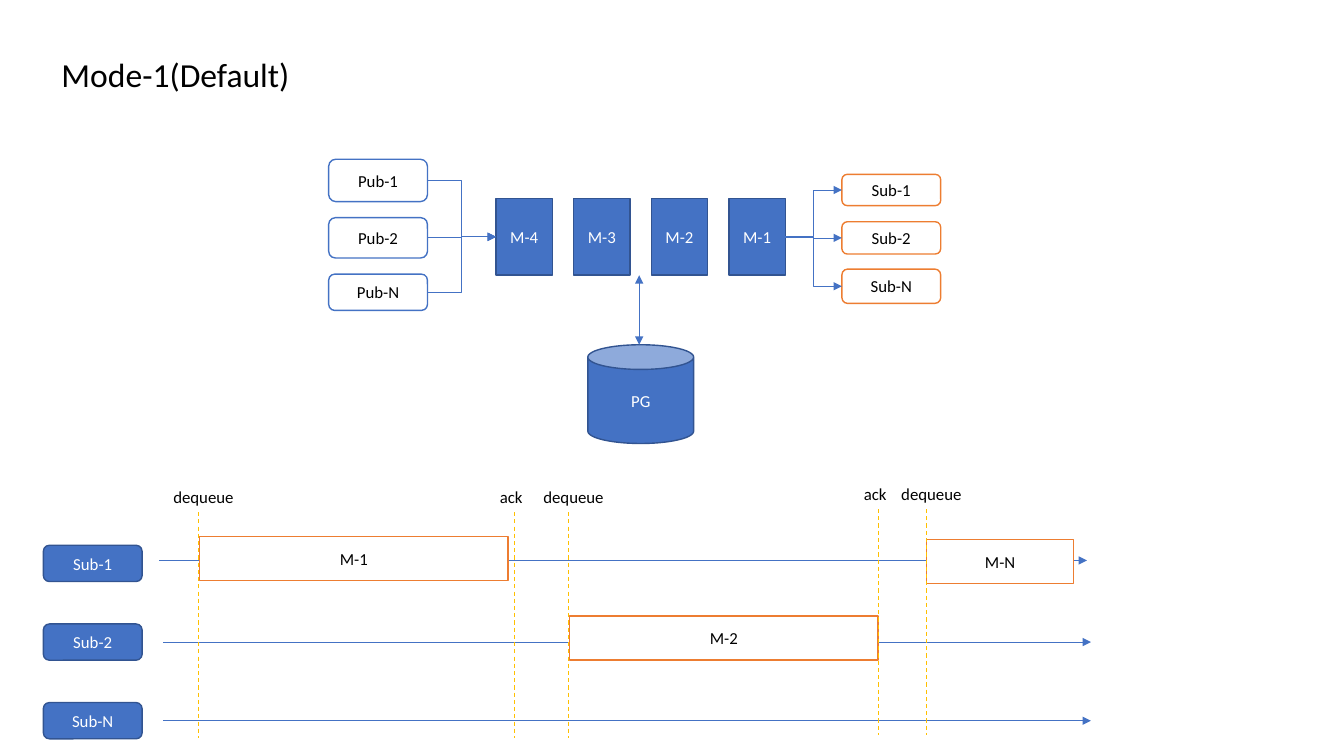
import pptx
import pptx.util
import pptx.dml.color
import pptx.enum.dml
import pptx.enum.shapes
import pptx.enum.text
import pptx.oxml.ns
import lxml.etree

Inches = pptx.util.Inches
Pt = pptx.util.Pt
Shape = pptx.enum.shapes.MSO_SHAPE
Connector = pptx.enum.shapes.MSO_CONNECTOR
Align = pptx.enum.text.PP_ALIGN
Anchor = pptx.enum.text.MSO_ANCHOR
qn = pptx.oxml.ns.qn

COLORS = {
    "blue": "4472C4",
    "navy": "325491",
    "orange": "ED7D31",
    "gold": "FFC000",
    "white": "FFFFFF",
    "black": "000000",
}
FONT = "Calibri"
LEFT_SITE, RIGHT_SITE = 1, 3
NODE_WIDTH = 0.98


def rgb(name):
    return pptx.dml.color.RGBColor.from_string(COLORS[name])


def write(frame, text, color="black", size=12, align=Align.LEFT):
    frame.text = text
    paragraph = frame.paragraphs[0]
    paragraph.alignment = align
    paragraph.font.name = FONT
    paragraph.font.size = Pt(size)
    paragraph.font.color.rgb = rgb(color)


def add_node(slide, kind, text, box, fill="white", line="orange", color="black"):
    node = slide.shapes.add_shape(kind, *map(Inches, box))
    node.shadow.inherit = False
    node.fill.solid()
    node.fill.fore_color.rgb = rgb(fill)
    node.line.color.rgb = rgb(line)
    node.line.width = Pt(1)
    node.text_frame.vertical_anchor = Anchor.MIDDLE
    write(node.text_frame, text, color, align=Align.CENTER)
    return node


def add_solid_node(slide, kind, text, box):
    return add_node(slide, kind, text, box, "blue", "navy", "white")


def style_line(connector, color="blue", width=0.5, dashed=False, ends=("tailEnd",)):
    """Set stroke and arrowheads, and switch the theme shadow off."""
    connector.line.color.rgb = rgb(color)
    connector.line.width = Pt(width)
    if dashed:
        connector.line.dash_style = pptx.enum.dml.MSO_LINE.DASH
    properties = connector.element.spPr
    stroke = properties.find(qn("a:ln"))
    for end in ends:
        lxml.etree.SubElement(stroke, qn(f"a:{end}"), type="triangle")
    lxml.etree.SubElement(properties, qn("a:effectLst"))


def add_line(slide, x1, y1, x2, y2, **style):
    points = map(Inches, (x1, y1, x2, y2))
    style_line(slide.shapes.add_connector(Connector.STRAIGHT, *points), **style)


def link(slide, source, target):
    """Join the right side of source to the left side of target."""
    elbow = slide.shapes.add_connector(Connector.ELBOW, 0, 0, 0, 0)
    elbow.begin_connect(source, RIGHT_SITE)
    elbow.end_connect(target, LEFT_SITE)
    style_line(elbow)


def add_label(slide, text, left, top, width):
    label = slide.shapes.add_textbox(*map(Inches, (left, top, width, 0.3)))
    label.text_frame.word_wrap = False
    label.text_frame.auto_size = pptx.enum.text.MSO_AUTO_SIZE.SHAPE_TO_FIT_TEXT
    write(label.text_frame, text)


def add_title(slide, text, left, top, width, height):
    title = slide.shapes.title
    title.left, title.top, title.width, title.height = map(
        Inches, (left, top, width, height))
    title.text_frame.word_wrap = False
    title.text_frame.vertical_anchor = Anchor.MIDDLE
    write(title.text_frame, text, size=24)


def add_peers(slide, left, top, line, peers):
    """Stack rounded nodes given as (text, offset from top, height)."""
    return [add_node(slide, Shape.ROUNDED_RECTANGLE, text,
                     (left, top + offset, NODE_WIDTH, height), line=line)
            for text, offset, height in peers]


def add_queue_flow(slide, left, top):
    """Publishers feed the message queue, which feeds the subscribers."""
    queue_left, queue_top = left + 1.66, top + 0.39
    message_width, message_height, gap = 0.56, 0.76, 0.21
    pitch = message_width + gap
    messages = [
        add_solid_node(slide, Shape.RECTANGLE, text,
                       (queue_left + i * pitch, queue_top, message_width, message_height))
        for i, text in enumerate(("M-4", "M-3", "M-2", "M-1"))]
    publishers = add_peers(slide, left, top, "blue", (
        ("Pub-1", 0, 0.42), ("Pub-2", 0.58, 0.4), ("Pub-N", 1.14, 0.36)))
    subscribers = add_peers(slide, left + 5.09, top + 0.15, "orange", (
        ("Sub-1", 0, 0.31), ("Sub-2", 0.47, 0.32), ("Sub-N", 0.94, 0.34)))
    for publisher in publishers:
        link(slide, publisher, messages[0])
    for subscriber in subscribers:
        link(slide, messages[-1], subscriber)

    store_top = top + 1.84
    add_solid_node(slide, Shape.CAN, "PG", (left + 2.57, store_top, 1.05, 0.98))
    store_x = left + 3.08
    add_line(slide, store_x, store_top, store_x, queue_top + message_height,
             ends=("headEnd", "tailEnd"))


def add_timeline(slide, left, top):
    """One lane per subscriber, with its tasks and the queue events."""
    lane_pitch, lane_height, arrow_length = 0.78, 0.36, 9.2
    lanes = (("Sub-1", 1.15, 0.81), ("Sub-2", 1.19, 1.62), ("Sub-N", 1.19, 2.4))
    for i, (text, arrow_left, arrow_top) in enumerate(lanes):
        add_solid_node(slide, Shape.ROUNDED_RECTANGLE, text,
                       (left, top + 0.66 + i * lane_pitch, NODE_WIDTH, lane_height))
        x, y = left + arrow_left, top + arrow_top
        add_line(slide, x, y, x + arrow_length, y)

    tasks = (("M-1", 1.55, 0.57, 3.06), ("M-2", 5.22, 1.36, 3.06),
             ("M-N", 8.76, 0.6, 1.46))
    for text, x, y, width in tasks:
        add_node(slide, Shape.RECTANGLE, text, (left + x, top + y, width, 0.44))

    label_widths = {"dequeue": 0.81, "ack": 0.43}
    events = (("dequeue", 1.54, 0.35, 0.03), ("ack", 4.67, 0.24, 0.03),
              ("dequeue", 5.21, 0.35, 0.03), ("ack", 8.28, 0.24, 0),
              ("dequeue", 8.76, 0.35, 0))
    for text, x, label_shift, y in events:
        event_x, event_top = left + x, top + y
        add_label(slide, text, event_x - label_shift, event_top, label_widths[text])
        add_line(slide, event_x, event_top + 0.3, event_x, event_top + 2.54,
                 color="gold", width=0.75, dashed=True, ends=())


def main():
    deck = pptx.Presentation()
    deck.slide_width, deck.slide_height = Inches(13.33), Inches(7.5)
    title_only = deck.slide_layouts[5]
    slide = deck.slides.add_slide(title_only)
    add_title(slide, "Mode-1(Default)", 0.51, 0.48, 2.49, 0.5)
    add_queue_flow(slide, 3.26, 1.58)
    add_timeline(slide, 0.43, 4.75)
    deck.save("out.pptx")


if __name__ == "__main__":
    main()
